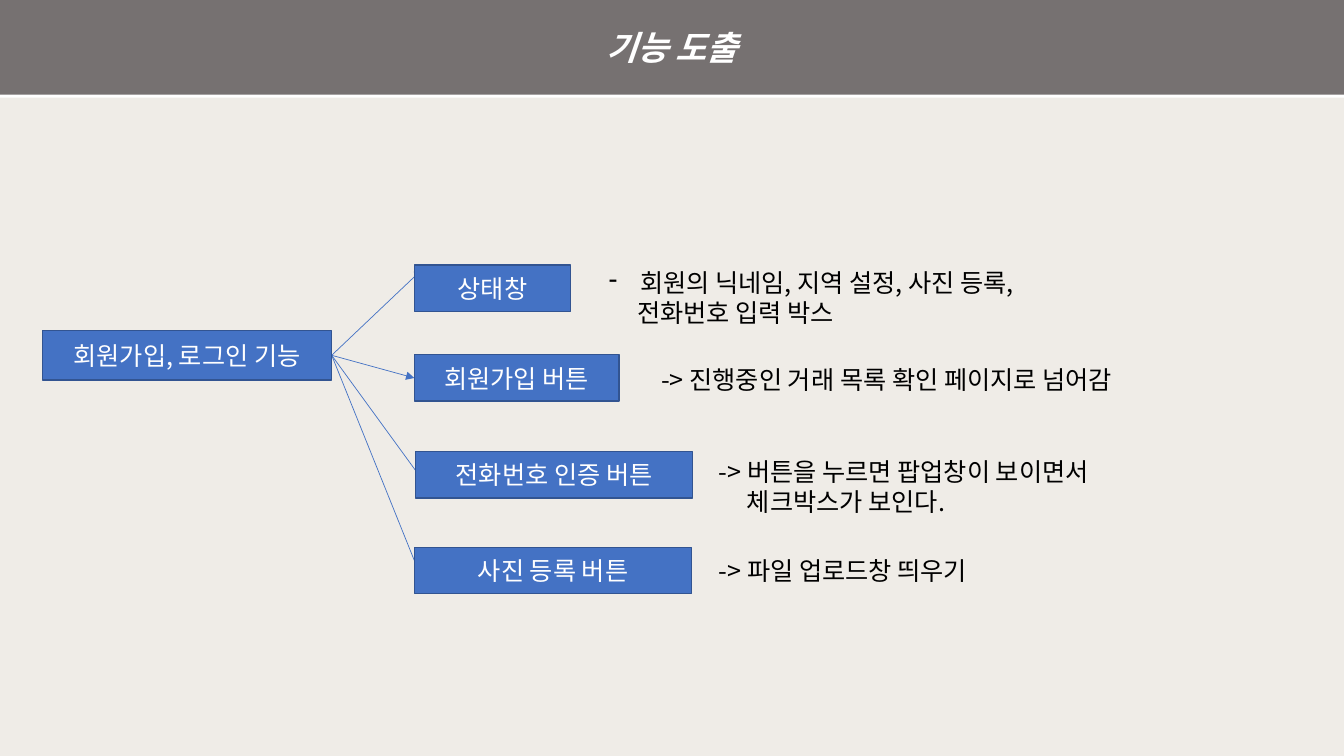
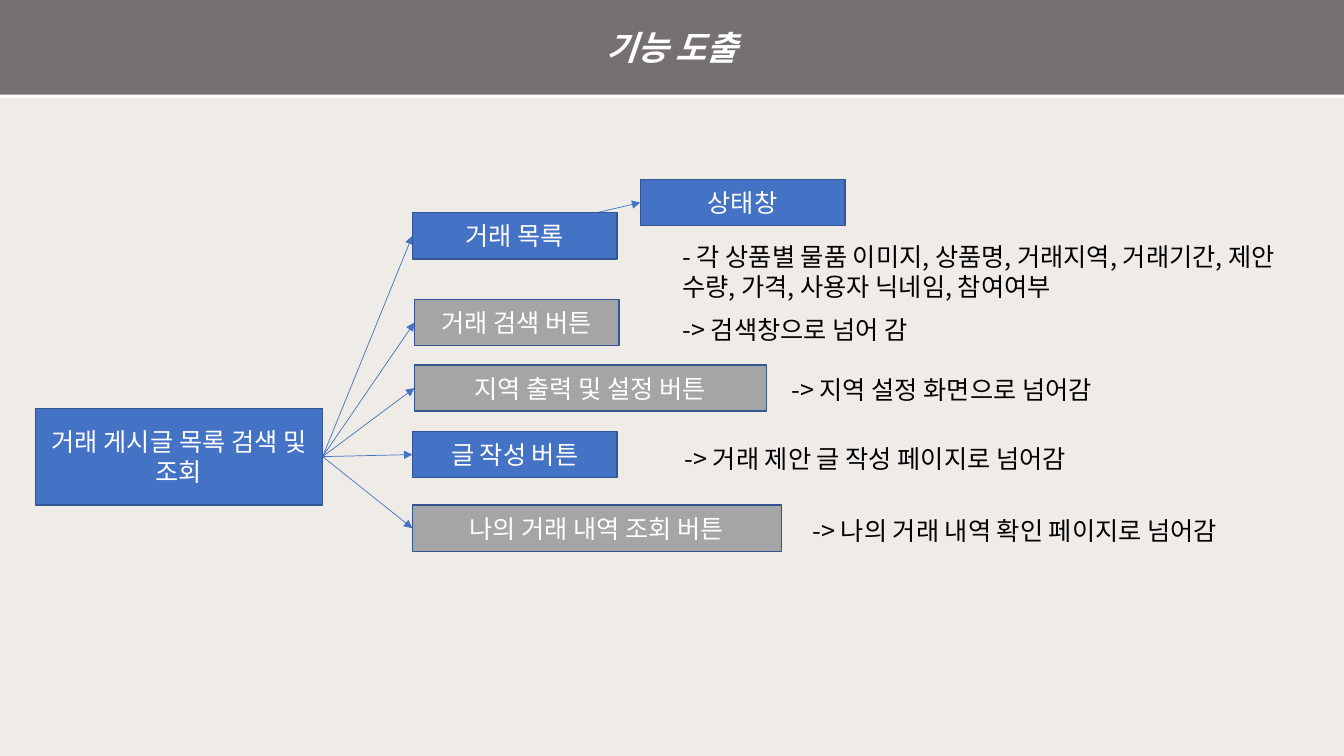
"""Build two feature-breakdown slides: a root feature, its branches and their notes."""
from lxml import etree
from pptx import Presentation
from pptx.dml.color import RGBColor
from pptx.enum import shapes, text
from pptx.oxml import ns
from pptx.util import Inches, Pt

FONT = "Noto Sans CJK KR"
CREAM = RGBColor(0xEF, 0xEC, 0xE7)
BAND = RGBColor(0x76, 0x71, 0x71)
BLUE = RGBColor(0x44, 0x72, 0xC4)
EDGE = RGBColor(0x32, 0x54, 0x91)
GRAY = RGBColor(0xA5, 0xA5, 0xA5)
WHITE = RGBColor(0xFF, 0xFF, 0xFF)
BLACK = RGBColor(0, 0, 0)
WIDTH, HEIGHT = Inches(13.33), Inches(7.5)
TITLE = "기능 도출"
BOX_HEIGHT = 0.46
MIDDLE = (0, BOX_HEIGHT / 2)


def write(para, words, color, size=18):
    span = para.add_run()
    span.text = words
    span.font.name = FONT
    span.font.size = Pt(size)
    span.font.color.rgb = color
    etree.SubElement(span.font._element, ns.qn("a:ea"), typeface=FONT)
    return span


def add_box(page, words, place, fill, size=18):
    box = page.shapes.add_shape(shapes.MSO_SHAPE.RECTANGLE, *map(Inches, place))
    box.shadow.inherit = False
    box.fill.solid()
    box.fill.fore_color.rgb = fill
    box.line.color.rgb = EDGE
    box.line.width = Pt(1)
    frame = box.text_frame
    frame.word_wrap = True
    frame.vertical_anchor = text.MSO_ANCHOR.MIDDLE
    frame.paragraphs[0].alignment = text.PP_ALIGN.CENTER
    return box, write(frame.paragraphs[0], words, WHITE, size)


# Branch: label, left, top, width, fill, arrow end inside the box, has arrowhead
# Note: left, top, width, height, paragraphs of (words, indent, bullet)
SLIDES = [
    {
        "root": ("회원가입, 로그인 기능", (0.42, 3.28, 2.87, 0.49)),
        "branches": [
            ("상태창", 4.11, 2.63, 1.55, BLUE, (0.08, 0.04), True),
            ("회원가입 버튼", 4.11, 3.52, 2.03, BLUE, MIDDLE, True),
            ("전화번호 인증 버튼", 4.12, 4.48, 2.75, BLUE, (0.04, 0.24), False),
            ("사진 등록 버튼", 4.11, 5.43, 2.75, BLUE, (0.08, 0.33), False),
        ],
        "details": [],
        "notes": [
            (5.94, 2.6, 7.2, 0.71, [("회원의 닉네임, 지역 설정, 사진 등록,", 0.31, True),
                                    ("전화번호 입력 박스", 0.28, False)]),
            (6.46, 3.57, 6.16, 0.4, [("-> 진행중인 거래 목록 확인 페이지로 넘어감", 0, False)]),
            (7.03, 4.48, 5.19, 0.71, [("-> 버튼을 누르면 팝업창이 보이면서", 0, False),
                                      ("체크박스가 보인다.", 0.28, False)]),
            (7.03, 5.46, 5.19, 0.4, [("-> 파일 업로드창 띄우기", 0, False)]),
        ],
    },
    {
        "root": ("거래 게시글 목록 검색 및 조회", (0.35, 4.05, 2.85, 0.96)),
        "branches": [
            ("거래 목록", 4.09, 2.11, 2.03, BLUE, MIDDLE, True),
            ("거래 검색 버튼", 4.11, 2.97, 2.03, GRAY, MIDDLE, True),
            ("지역 출력 및 설정 버튼", 4.11, 3.62, 3.49, GRAY, MIDDLE, True),
            ("글 작성 버튼", 4.09, 4.28, 2.03, BLUE, MIDDLE, True),
            ("나의 거래 내역 조회 버튼", 4.09, 5.01, 3.66, GRAY, MIDDLE, True),
        ],
        "details": [("상태창", 6.35, 1.78, 2.03, BLUE, (5.92, 2.11))],
        "notes": [
            (6.67, 2.34, 6.48, 0.71, [("- 각 상품별 물품 이미지, 상품명, 거래지역, 거래기간, "
                                       "제안 수량, 가격, 사용자 닉네임, 참여여부", 0, False)]),
            (6.67, 3.07, 4.99, 0.4, [("-> 검색창으로 넘어 감", 0, False)]),
            (7.75, 3.66, 4.99, 0.4, [("-> 지역 설정 화면으로 넘어감", 0, False)]),
            (6.69, 4.35, 4.79, 0.4, [("-> 거래 제안 글 작성 페이지로 넘어감", 0, False)]),
            (7.96, 5.06, 5.01, 0.4, [("-> 나의 거래 내역 확인 페이지로 넘어감", 0, False)]),
        ],
    },
]

deck = Presentation()
deck.slide_width, deck.slide_height = WIDTH, HEIGHT

for content in SLIDES:
    page = deck.slides.add_slide(deck.slide_layouts[6])
    page.background.fill.solid()
    page.background.fill.fore_color.rgb = CREAM

    band, title = add_box(page, TITLE, (0, 0, 13.33, 0.94), BAND, 24)
    band.line.fill.background()
    title.font.bold = title.font.italic = True
    effects = band._element.spPr.find(ns.qn("a:effectLst"))
    shadow = etree.SubElement(effects, ns.qn("a:outerShdw"), blurRad="0", dist=str(Pt(2)),
                              dir="5400000", algn="t", rotWithShape="0")
    etree.SubElement(shadow, ns.qn("a:srgbClr"), val=str(WHITE))

    root_label, root_place = content["root"]
    left, top, width, height = root_place
    start = (left + width, top + height / 2)
    boxes = [(root_label, root_place, BLUE)]
    links = []
    for label, left, top, width, fill, (across, down), arrow in content["branches"]:
        boxes.append((label, (left, top, width, BOX_HEIGHT), fill))
        links.append((start, (left + across, top + down), arrow))
    for label, left, top, width, fill, origin in content["details"]:
        boxes.append((label, (left, top, width, BOX_HEIGHT), fill))
        links.append((origin, (left, top + BOX_HEIGHT / 2), True))

    for origin, end, arrow in links:
        link = page.shapes.add_connector(shapes.MSO_CONNECTOR.STRAIGHT, *map(Inches, origin + end))
        link.line.color.rgb = BLUE
        link.line.width = Pt(0.5)
        if arrow:
            etree.SubElement(link.line._get_or_add_ln(), ns.qn("a:tailEnd"), type="triangle")
        etree.SubElement(link._element.spPr, ns.qn("a:effectLst"))

    for label, place, fill in boxes:
        add_box(page, label, place, fill)

    for *place, lines in content["notes"]:
        frame = page.shapes.add_textbox(*map(Inches, place)).text_frame
        frame.word_wrap = True
        frame.auto_size = text.MSO_AUTO_SIZE.SHAPE_TO_FIT_TEXT
        for index, (words, indent, bullet) in enumerate(lines):
            para = frame.add_paragraph() if index else frame.paragraphs[0]
            write(para, words, BLACK)
            if indent:
                settings = para._p.get_or_add_pPr()
                settings.set("marL", str(Inches(indent)))
                settings.set("indent", str(-Inches(indent) if bullet else 0))
                if bullet:
                    etree.SubElement(settings, ns.qn("a:buFontTx"))
                    etree.SubElement(settings, ns.qn("a:buChar"), char="-")

deck.save("out.pptx")
